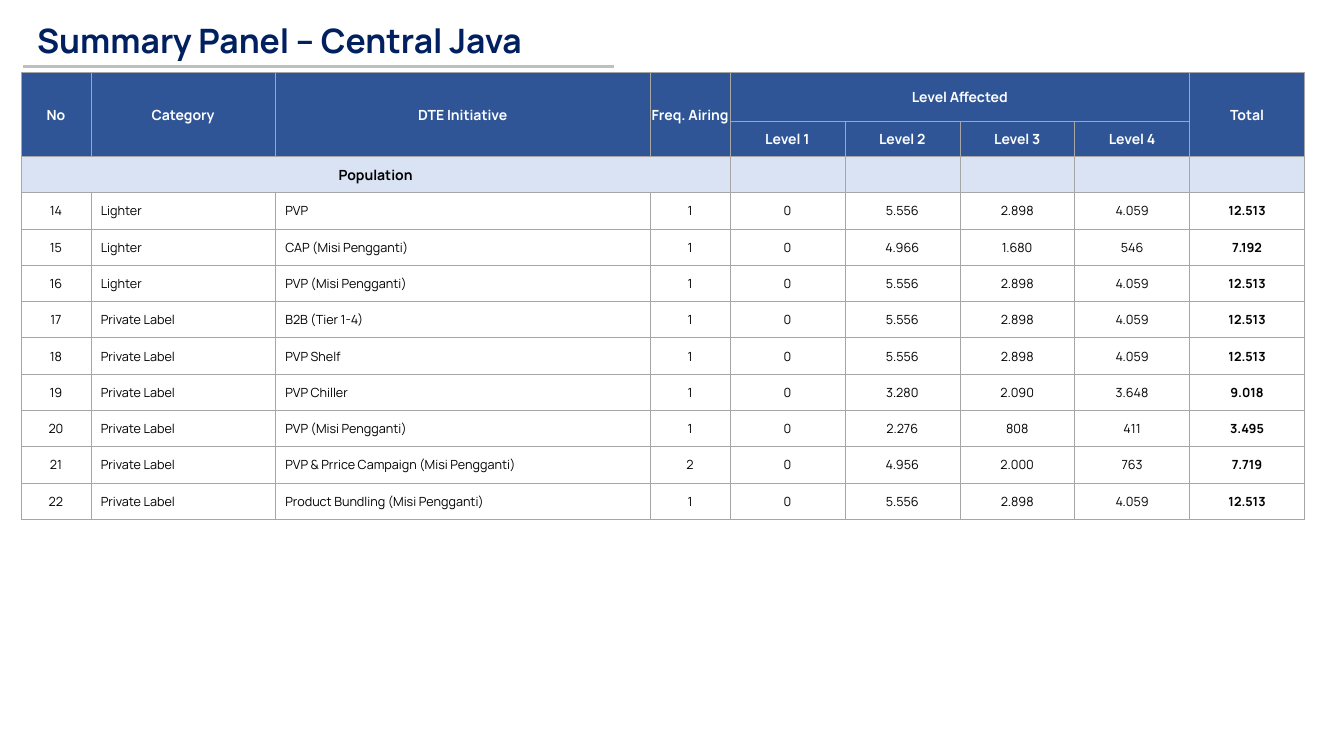
from lxml.etree import SubElement
from pptx import Presentation
from pptx.dml.color import RGBColor as Color
from pptx.enum.shapes import MSO_CONNECTOR as Connector
from pptx.enum.text import MSO_ANCHOR as Anchor, PP_ALIGN as Align
from pptx.oxml.ns import qn
from pptx.util import Inches, Pt

COLORS = {
    "title": "002060",
    "rule": "BFBFBF",
    "border": "A6A6A6",
    "header": "2F5597",
    "band": "DAE3F3",
    "white": "FFFFFF",
    "black": "000000",
}
FONT = "Manrope"
FORMATS = {
    "title": {"size": Pt(24), "bold": True, "color": "title"},
    "header": {"size": Pt(10), "bold": True, "color": "white"},
    "band": {"size": Pt(10), "bold": True, "color": "black"},
    "body": {"size": Pt(9), "bold": False, "color": "black"},
    "total": {"size": Pt(9), "bold": True, "color": "black"},
}
COLUMN_WIDTHS = [0.69, 1.83, 3.72, 0.79] + [1.14] * 5
HEADER_HEIGHTS = [0.48, 0.35]
ROW_HEIGHT = 0.36
LEFT_COLUMNS = (1, 2)
HEADER_ROWS = [
    ["No", "Category", "DTE Initiative", "Freq. Airing", "Level Affected", "", "", "", "Total"],
    ["", "", "", "", "Level 1", "Level 2", "Level 3", "Level 4", ""],
]
BAND_ROW = ["Population"] + [""] * 8
INITIATIVES = [
    ["14", "Lighter", "PVP", "1", "0", "5.556", "2.898", "4.059", "12.513"],
    ["15", "Lighter", "CAP (Misi Pengganti)", "1", "0", "4.966", "1.680", "546", "7.192"],
    ["16", "Lighter", "PVP (Misi Pengganti)", "1", "0", "5.556", "2.898", "4.059", "12.513"],
    ["17", "Private Label", "B2B (Tier 1-4)", "1", "0", "5.556", "2.898", "4.059", "12.513"],
    ["18", "Private Label", "PVP Shelf", "1", "0", "5.556", "2.898", "4.059", "12.513"],
    ["19", "Private Label", "PVP Chiller", "1", "0", "3.280", "2.090", "3.648", "9.018"],
    ["20", "Private Label", "PVP (Misi Pengganti)", "1", "0", "2.276", "808", "411", "3.495"],
    ["21", "Private Label", "PVP & Prrice Campaign (Misi Pengganti)", "2", "0", "4.956", "2.000", "763", "7.719"],
    ["22", "Private Label", "Product Bundling (Misi Pengganti)", "1", "0", "5.556", "2.898", "4.059", "12.513"],
]
MERGES = [(0, column, 1, column) for column in (0, 1, 2, 3, 8)]
MERGES += [(0, 4, 0, 7), (2, 0, 2, 3)]


def write(para, text, style):
    span = para.add_run()
    span.text = text
    span.font.name = FONT
    for name, value in FORMATS[style].items():
        if name == "color":
            span.font.color.rgb = Color.from_string(COLORS[value])
        else:
            setattr(span.font, name, value)


def add_title(page, left, top, width, height):
    rule_top = top + height - 0.06
    rule = page.shapes.add_connector(
        Connector.STRAIGHT,
        Inches(left - 0.04), Inches(rule_top), Inches(left + 5.82), Inches(rule_top),
    )
    rule.line.color.rgb = Color.from_string(COLORS["rule"])
    rule.line.width = Pt(1.5)
    SubElement(rule._element.spPr, qn("a:effectLst"))
    box = page.shapes.add_textbox(Inches(left), Inches(top), Inches(width), Inches(height))
    frame = box.text_frame
    frame.word_wrap = True
    frame.vertical_anchor = Anchor.MIDDLE
    para = frame.paragraphs[0]
    para.line_spacing = 0.9
    write(para, "Summary Panel – Central Java", "title")


def add_borders(cell):
    properties = cell._tc.get_or_add_tcPr()
    for position, side in enumerate(("a:lnL", "a:lnR", "a:lnT", "a:lnB")):
        line = properties.makeelement(qn(side), {"w": str(Pt(0.25))})
        fill = SubElement(line, qn("a:solidFill"))
        SubElement(fill, qn("a:srgbClr"), val=COLORS["border"])
        properties.insert(position, line)


def format_cell(cell, text, style, column):
    is_left = style == "body" and column in LEFT_COLUMNS
    layout = {
        "margin_left": Inches(0.1 if is_left else 0),
        "margin_top": Inches(0.01),
        "margin_right": 0,
        "margin_bottom": 0,
        "vertical_anchor": Anchor.MIDDLE,
    }
    for name, value in layout.items():
        setattr(cell, name, value)
    if style in ("header", "band"):
        cell.fill.solid()
        cell.fill.fore_color.rgb = Color.from_string(COLORS[style])
    else:
        cell.fill.background()
    add_borders(cell)
    if text:
        para = cell.text_frame.paragraphs[0]
        para.alignment = Align.LEFT if is_left else Align.CENTER
        write(para, text, style)


def add_summary_table(page, left, top, width, height):
    rows = [("header", row) for row in HEADER_ROWS]
    rows += [("band", BAND_ROW)] + [("body", row) for row in INITIATIVES]
    table = page.shapes.add_table(
        len(rows), len(COLUMN_WIDTHS),
        Inches(left), Inches(top), Inches(width), Inches(height),
    ).table
    table.first_row = table.horz_banding = False
    for column, column_width in zip(table.columns, COLUMN_WIDTHS):
        column.width = Inches(column_width)
    heights = HEADER_HEIGHTS + [ROW_HEIGHT] * (len(rows) - len(HEADER_HEIGHTS))
    for row, row_height in zip(table.rows, heights):
        row.height = Inches(row_height)
    for first_row, first_column, last_row, last_column in MERGES:
        table.cell(first_row, first_column).merge(table.cell(last_row, last_column))
    for row_index, (style, texts) in enumerate(rows):
        for column, text in enumerate(texts):
            is_total = style == "body" and column == len(texts) - 1
            format_cell(table.cell(row_index, column), text, "total" if is_total else style, column)


def main():
    deck = Presentation()
    deck.slide_width, deck.slide_height = Inches(13.33), Inches(7.5)
    page = deck.slides.add_slide(deck.slide_layouts[6])
    add_title(page, 0.27, 0.12, 11.7, 0.6)
    add_summary_table(page, 0.21, 0.72, 12.73, 4.43)
    deck.save("out.pptx")


if __name__ == "__main__":
    main()
